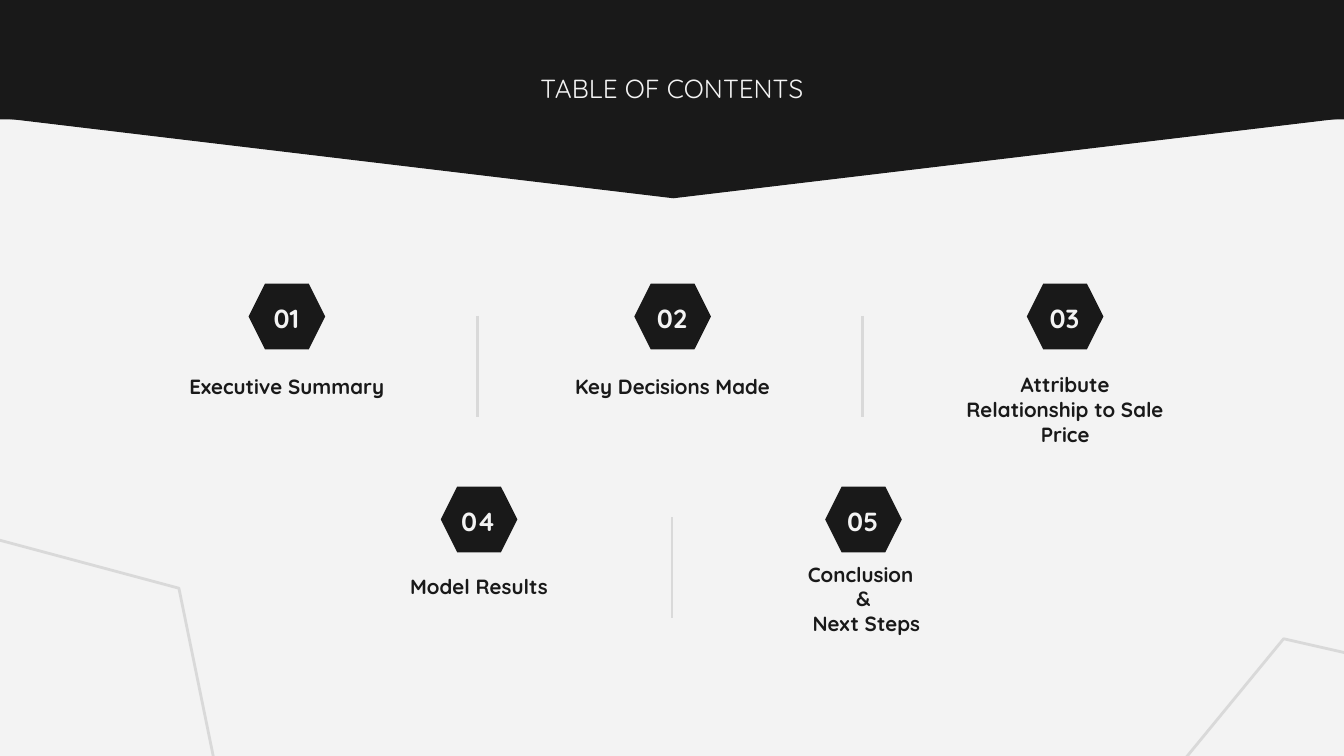
from dataclasses import dataclass

from pptx import Presentation
from pptx.dml.color import RGBColor
from pptx.enum.shapes import MSO_CONNECTOR, MSO_SHAPE
from pptx.enum.text import MSO_ANCHOR, MSO_AUTO_SIZE, PP_ALIGN
from pptx.oxml.ns import qn
from pptx.shapes.autoshape import Shape
from pptx.slide import Slide
from pptx.util import Inches, Pt

DARK = "191919"
PALE = "F3F3F3"
GREY = "D9D9D9"
FONT = "Quicksand"


@dataclass(frozen=True)
class Box:
    left: float
    top: float
    width: float
    height: float

    def lengths(self) -> list[Inches]:
        return [Inches(v) for v in (self.left, self.top, self.width, self.height)]


@dataclass(frozen=True)
class Section:
    lines: tuple[str, ...]
    left: float
    top: float
    label_drop: float
    label_height: float = 0.63


SECTIONS = (
    Section(("Executive Summary",), 1.85, 2.11, 0.45),
    Section(("Key Decisions Made",), 4.72, 2.11, 0.45),
    Section(("Attribute Relationship to Sale Price",), 7.64, 2.11, 0.62),
    Section(("Model Results",), 3.28, 3.62, 0.52, 0.45),
    Section(("Conclusion ", "&", " Next Steps"), 6.14, 3.62, 0.52),
)
DIVIDERS = ((3.55, 2.35), (6.42, 2.35), (5, 3.85))
DIVIDER_LENGTH = 0.75
CORNER_HEXAGONS = (
    (Box(-1.56, 4.08, 3.23, 2.53), 15),
    (Box(8.29, 5.05, 3.23, 2.53), 309.4),
)


def rgb(value: str) -> RGBColor:
    return RGBColor.from_string(value)


def add_figure(slide: Slide, kind: MSO_SHAPE, box: Box, fill: str | None = None,
               line: str | None = None, weight: float = 0.75,
               rotation: float = 0) -> None:
    figure = slide.shapes.add_shape(kind, *box.lengths())
    figure.shadow.inherit = False
    figure.rotation = rotation
    if fill:
        figure.fill.solid()
        figure.fill.fore_color.rgb = rgb(fill)
    else:
        figure.fill.background()
    if line:
        figure.line.color.rgb = rgb(line)
        figure.line.width = Pt(weight)
    else:
        figure.line.fill.background()


def write_text(holder: Shape, lines: tuple[str, ...], size: float, color: str,
               bold: bool, anchor: MSO_ANCHOR) -> None:
    frame = holder.text_frame
    frame.word_wrap = True
    frame.auto_size = MSO_AUTO_SIZE.NONE
    frame.vertical_anchor = anchor
    frame.margin_left = frame.margin_right = Inches(0.1)
    frame.margin_top = frame.margin_bottom = Inches(0.1)
    frame.text = "\n".join(lines)
    for paragraph in frame.paragraphs:
        paragraph.alignment = PP_ALIGN.CENTER
        paragraph.font.name = FONT
        paragraph.font.size = Pt(size)
        paragraph.font.bold = bold
        paragraph.font.color.rgb = rgb(color)


def add_header(slide: Slide) -> None:
    add_figure(slide, MSO_SHAPE.ISOSCELES_TRIANGLE, Box(-0.01, 0.87, 10.04, 0.6),
               DARK, DARK, rotation=180)
    add_figure(slide, MSO_SHAPE.RECTANGLE, Box(-0.01, -0.04, 10.04, 0.93), DARK)
    title = slide.shapes.title
    title.left, title.top, title.width, title.height = Box(3.37, 0.44, 3.26, 0.75).lengths()
    write_text(title, ("TABLE OF CONTENTS",), 14, PALE, False, MSO_ANCHOR.TOP)
    title.element.getparent().append(title.element)


def add_section(slide: Slide, number: int, section: Section) -> None:
    left, top = section.left, section.top
    add_figure(slide, MSO_SHAPE.HEXAGON, Box(left, top, 0.57, 0.49), DARK)
    badge = slide.shapes.add_textbox(*Box(left - 0.13, top + 0.09, 0.82, 0.33).lengths())
    write_text(badge, (f"{number:02}",), 14, PALE, True, MSO_ANCHOR.MIDDLE)
    label_box = Box(left - 0.59, top + section.label_drop, 1.75, section.label_height)
    label = slide.shapes.add_textbox(*label_box.lengths())
    write_text(label, section.lines, 11, DARK, True, MSO_ANCHOR.MIDDLE)


def add_divider(slide: Slide, x: float, top: float) -> None:
    divider = slide.shapes.add_connector(
        MSO_CONNECTOR.STRAIGHT, Inches(x), Inches(top),
        Inches(x), Inches(top + DIVIDER_LENGTH))
    divider.line.color.rgb = rgb(GREY)
    divider.line.width = Pt(1.5)
    properties = divider.element.spPr
    properties.append(properties.makeelement(qn("a:effectLst"), {}))


def main() -> None:
    deck = Presentation()
    deck.slide_width = Inches(10)
    deck.slide_height = Inches(10 * 9 / 16)
    slide = deck.slides.add_slide(deck.slide_layouts[5])
    slide.background.fill.solid()
    slide.background.fill.fore_color.rgb = rgb(PALE)
    add_header(slide)
    for number, section in enumerate(SECTIONS, start=1):
        add_section(slide, number, section)
    for x, top in DIVIDERS:
        add_divider(slide, x, top)
    for box, rotation in CORNER_HEXAGONS:
        add_figure(slide, MSO_SHAPE.HEXAGON, box, line=GREY, weight=1.5, rotation=rotation)
    deck.save("out.pptx")


if __name__ == "__main__":
    main()
